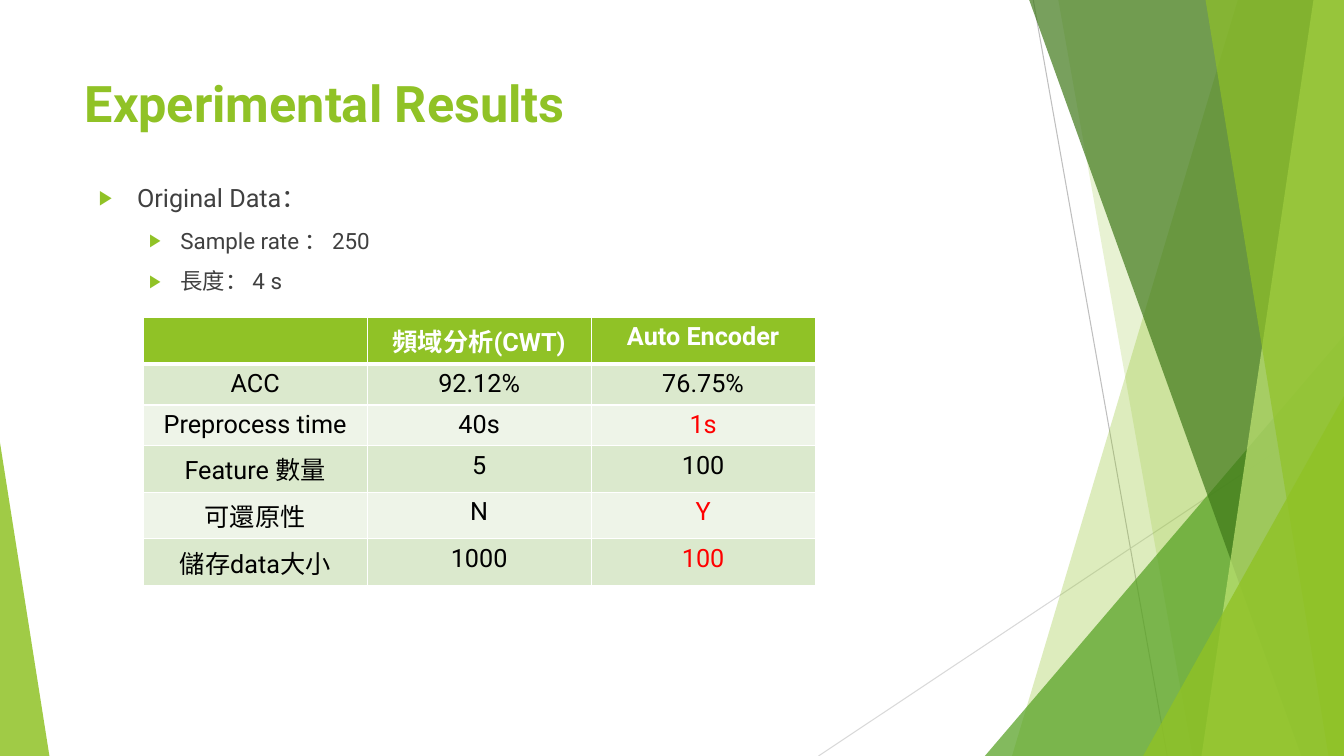
from dataclasses import dataclass

from pptx import Presentation
from pptx import util as u
from pptx.dml.color import RGBColor
from pptx.enum import shapes, text
from pptx.oxml.ns import qn
from pptx.oxml.xmlchemy import OxmlElement


@dataclass(frozen=True)
class Theme:
    font: str = "Roboto"
    green: str = "90C226"
    leaf: str = "54A021"
    forest: str = "3F7819"
    lime: str = "C0E474"
    white: str = "FFFFFF"
    black: str = "000000"
    body: str = "404040"
    red: str = "FF0000"
    odd_row: str = "DBE9CD"
    even_row: str = "EEF4E8"
    dark_line: str = "BFBFBF"
    light_line: str = "D9D9D9"
    title_size: int = 36
    text_size: int = 18
    detail_size: int = 16


THEME = Theme()
WIDTH, HEIGHT = u.Inches(13.333), u.Inches(7.5)
RESULTS = [
    ["", "頻域分析(CWT)", "Auto Encoder"],
    ["ACC", "92.12%", "76.75%"],
    ["Preprocess time", "40s", "1s"],
    ["Feature 數量", "5", "100"],
    ["可還原性", "N", "Y"],
    ["儲存data大小", "1000", "100"],
]
BEST = {(2, 2), (4, 2), (5, 2)}


def across(percent):
    return int(WIDTH * percent / 100)


def down(percent):
    return int(HEIGHT * percent / 100)


def area(left, top, width, height):
    return across(left), down(top), across(width), down(height)


def child(parent, tag, **attributes):
    node = OxmlElement(tag)
    for name, value in attributes.items():
        node.set(name, str(value))
    parent.append(node)
    return node


def paint(shape, color, opacity):
    shape.shadow.inherit = False
    shape.fill.solid()
    shape.fill.fore_color.rgb = RGBColor.from_string(color)
    shape.line.fill.background()
    tint = shape.element.spPr.find(".//" + qn("a:srgbClr"))
    child(tint, "a:alpha", val=opacity * 1000)


def add_thin_line(page, start, end, color):
    line = page.shapes.add_connector(
        shapes.MSO_CONNECTOR.STRAIGHT,
        across(start[0]), down(start[1]), across(end[0]), down(end[1]))
    line.line.color.rgb = RGBColor.from_string(color)
    line.line.width = u.Pt(0.75)
    child(line.element.spPr, "a:effectLst")


def add_band(page, top_edge, bottom_edge, color, opacity):
    builder = page.shapes.build_freeform(across(top_edge), 0)
    builder.add_line_segments(
        [(WIDTH, 0), (WIDTH, HEIGHT), (across(bottom_edge), HEIGHT)], close=True)
    paint(builder.convert_to_shape(), color, opacity)


def add_triangle(page, left, top, width, apex, color, opacity):
    triangle = page.shapes.add_shape(
        shapes.MSO_SHAPE.ISOSCELES_TRIANGLE, *area(left, top, width, 100 - top))
    triangle.adjustments[0] = apex
    paint(triangle, color, opacity)


def add_decoration(page):
    add_thin_line(page, (76.88, 0), (86.85, 100), THEME.dark_line)
    add_thin_line(page, (100, 53.73), (60.9, 100), THEME.light_line)
    add_band(page, 92.1, 75.3, THEME.green, 30)
    add_band(page, 78.75, 88.73, THEME.green, 20)
    add_triangle(page, 73.28, 44.4, 26.72, 1, THEME.leaf, 72)
    add_band(page, 76.58, 96.83, THEME.forest, 70)
    add_band(page, 97.73, 89.4, THEME.lime, 70)
    add_band(page, 89.7, 98.85, THEME.green, 65)
    add_triangle(page, 85.05, 52.4, 14.95, 1, THEME.green, 80)
    add_triangle(page, 0, 58.53, 3.68, 0, THEME.green, 85)


def add_span(para, wording, size, color, bold=False):
    span = para.add_run()
    span.text = wording
    span.font.name = THEME.font
    span.font.size = u.Pt(size)
    span.font.bold = bold
    span.font.color.rgb = RGBColor.from_string(color)


def place(box, left, top, width, height):
    box.left, box.top, box.width, box.height = area(left, top, width, height)
    frame = box.text_frame
    frame.word_wrap = True
    frame.auto_size = text.MSO_AUTO_SIZE.NONE
    frame.vertical_anchor = text.MSO_ANCHOR.TOP
    box.element.getparent().append(box.element)
    return frame


def fill_title(box):
    para = place(box, 5.55, 8.93, 70.5, 12).paragraphs[0]
    para.alignment = text.PP_ALIGN.LEFT
    add_span(para, "Experimental Results", THEME.title_size, THEME.green, True)


def add_bullet(para, level, wording):
    para.level = level
    para.space_before = u.Pt(10)
    margin, hanging, size = [
        (0.38, 0.38, THEME.text_size), (0.81, 0.31, THEME.detail_size)][level]
    layout = para._p.get_or_add_pPr()
    layout.set("marL", str(u.Inches(margin)))
    layout.set("indent", str(-u.Inches(hanging)))
    child(child(layout, "a:buClr"), "a:srgbClr", val=THEME.green)
    child(layout, "a:buSzPct", val=80000)
    child(layout, "a:buChar", char="▶")
    add_span(para, wording, size, THEME.body)


def fill_body(box):
    frame = place(box, 6.6, 23.47, 70.5, 65.73)
    items = [(0, "Original Data："), (1, "Sample rate ： 250"), (1, "長度： 4 s")]
    for index, (level, wording) in enumerate(items):
        para = frame.add_paragraph() if index else frame.paragraphs[0]
        add_bullet(para, level, wording)


def add_borders(cell, top, bottom):
    properties = cell._tc.get_or_add_tcPr()
    for side, points in (("L", 1), ("R", 1), ("T", top), ("B", bottom)):
        edge = child(properties, "a:ln" + side, w=u.Pt(points))
        child(child(edge, "a:solidFill"), "a:srgbClr", val=THEME.white)


def add_results(page):
    table = page.shapes.add_table(
        len(RESULTS), len(RESULTS[0]), *area(10.65, 42, 50, 32.4)).table
    for row, values in enumerate(RESULTS):
        header = row == 0
        shade = THEME.green if header else (THEME.even_row, THEME.odd_row)[row % 2]
        for column, wording in enumerate(values):
            cell = table.cell(row, column)
            add_borders(cell, 3 if row == 1 else 1, 3 if header else 1)
            cell.fill.solid()
            cell.fill.fore_color.rgb = RGBColor.from_string(shade)
            para = cell.text_frame.paragraphs[0]
            para.alignment = text.PP_ALIGN.CENTER
            color = THEME.white if header else THEME.black
            if (row, column) in BEST:
                color = THEME.red
            if wording:
                add_span(para, wording, THEME.text_size, color, header)


def main():
    deck = Presentation()
    deck.slide_width, deck.slide_height = WIDTH, HEIGHT
    page = deck.slides.add_slide(deck.slide_layouts[1])
    title, body = page.placeholders
    add_decoration(page)
    fill_title(title)
    add_results(page)
    fill_body(body)
    deck.save("out.pptx")


if __name__ == "__main__":
    main()
